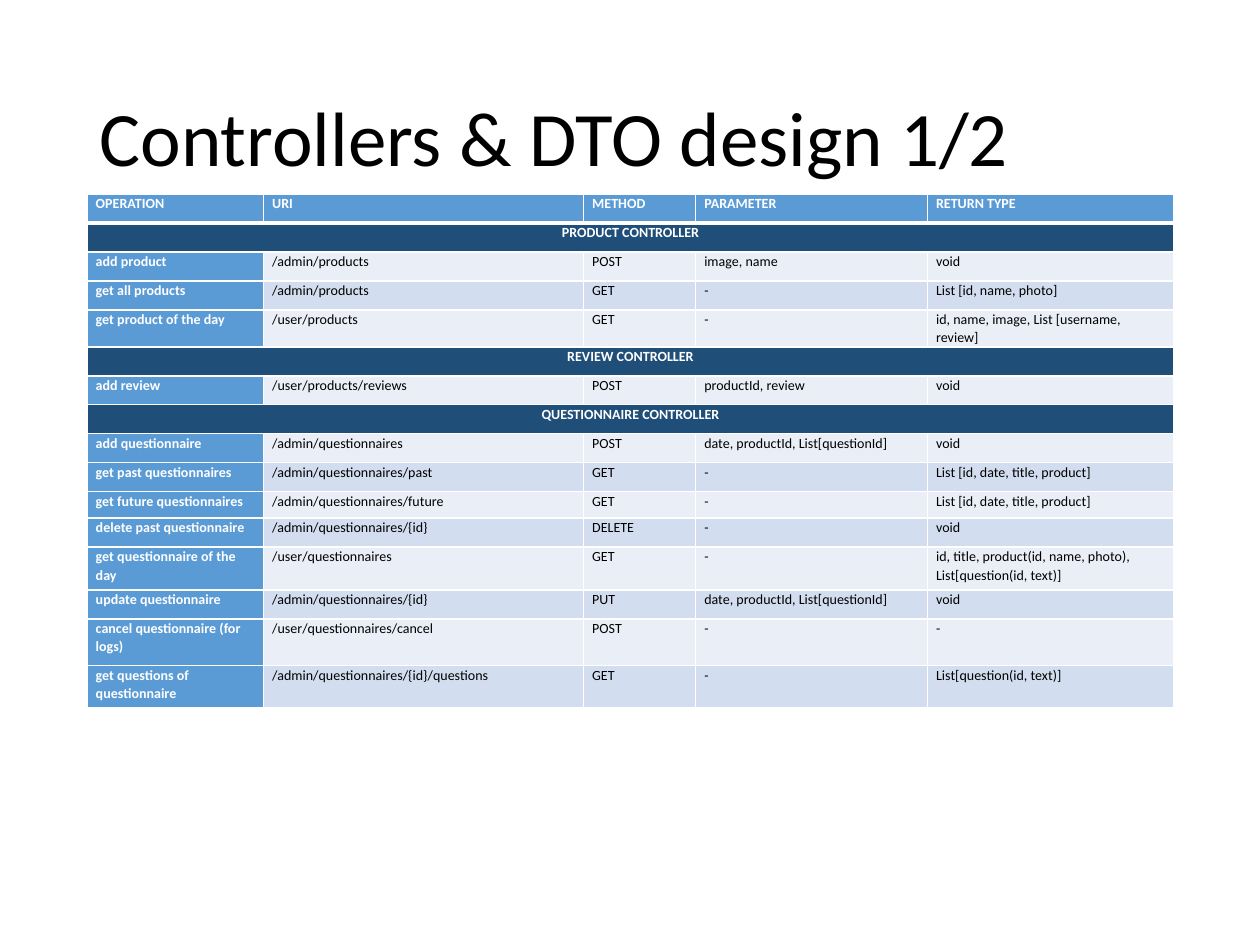
from lxml.etree import SubElement
from pptx import Presentation
from pptx.dml.color import RGBColor
from pptx.enum.text import MSO_ANCHOR, PP_ALIGN
from pptx.oxml.ns import qn
from pptx.util import Inches, Pt

TITLE = "Controllers & DTO design 1/2"
HEADINGS = ("OPERATION", "URI", "METHOD", "PARAMETER", "RETURN TYPE")
CONTROLLERS = {
    "PRODUCT CONTROLLER": [
        ("add product", "/admin/products", "POST", "image, name", "void"),
        ("get all products", "/admin/products", "GET", "-", "List [id, name, photo]"),
        ("get product of the day", "/user/products", "GET", "-",
         "id, name, image, List [username, review]"),
    ],
    "REVIEW CONTROLLER": [
        ("add review", "/user/products/reviews", "POST", "productId, review", "void"),
    ],
    "QUESTIONNAIRE CONTROLLER": [
        ("add questionnaire", "/admin/questionnaires", "POST",
         "date, productId, List[questionId]", "void"),
        ("get past questionnaires", "/admin/questionnaires/past", "GET", "-",
         "List [id, date, title, product]"),
        ("get future questionnaires", "/admin/questionnaires/future", "GET", "-",
         "List [id, date, title, product]"),
        ("delete past questionnaire", "/admin/questionnaires/{id}", "DELETE", "-", "void"),
        ("get questionnaire of the day", "/user/questionnaires", "GET", "-",
         "id, title, product(id, name, photo), List[question(id, text)]"),
        ("update questionnaire", "/admin/questionnaires/{id}", "PUT",
         "date, productId, List[questionId]", "void"),
        ("cancel questionnaire (for logs)", "/user/questionnaires/cancel", "POST", "-", "-"),
        ("get questions of questionnaire", "/admin/questionnaires/{id}/questions", "GET", "-",
         "List[question(id, text)]"),
    ],
}
COLORS = {
    "accent": "5B9BD5", "section": "1F4E79", "light": "EAEFF7",
    "dark": "D2DEEF", "white": "FFFFFF", "black": "000000",
}
FONT = "Calibri"
COLUMN_WIDTHS = (1.4, 2.54, 0.89, 1.84, 1.96)
ROW_HEIGHT = 0.23
SPECIAL_HEIGHTS = {
    "get product of the day": 0.24,
    "get future questionnaires": 0.21,
    "get questionnaire of the day": 0.34,
    "cancel questionnaire (for logs)": 0.37,
    "get questions of questionnaire": 0.34,
}


def color(name):
    return RGBColor.from_string(COLORS[name])


def format_text(paragraph, size, ink, bold=False):
    for span in paragraph.runs:
        span.font.name = FONT
        span.font.size = Pt(size)
        span.font.bold = bold
        span.font.color.rgb = color(ink)


def set_borders(cell, bottom):
    properties = cell._tc.get_or_add_tcPr()
    for position, (side, width) in enumerate(
        (("lnL", 1), ("lnR", 1), ("lnT", 1), ("lnB", bottom))
    ):
        line = SubElement(properties, qn(f"a:{side}"), w=str(Pt(width)))
        fill = SubElement(line, qn("a:solidFill"))
        SubElement(fill, qn("a:srgbClr"), val=COLORS["white"])
        properties.insert(position, line)


def fill_cell(cell, text, background, strong, bottom=1):
    cell.margin_left = cell.margin_right = Inches(0.07)
    cell.margin_top = cell.margin_bottom = 0
    cell.fill.solid()
    cell.fill.fore_color.rgb = color(background)
    set_borders(cell, bottom)
    paragraph = cell.text_frame.paragraphs[0]
    paragraph.text = text
    paragraph.line_spacing = 1.07
    paragraph.space_after = Pt(8)
    format_text(paragraph, 8, "white" if strong else "black", strong)
    return paragraph


def add_title(page):
    title = page.shapes.title
    title.left, title.top = Inches(0.69), Inches(0.4)
    title.width, title.height = Inches(8.62), Inches(1.45)
    frame = title.text_frame
    frame.text = TITLE
    frame.word_wrap = True
    frame.vertical_anchor = MSO_ANCHOR.MIDDLE
    paragraph = frame.paragraphs[0]
    paragraph.alignment = PP_ALIGN.LEFT
    paragraph.line_spacing = 0.9
    format_text(paragraph, 44, "black")


def add_operations(page):
    rows = [(HEADINGS, "accent")]
    for controller, operations in CONTROLLERS.items():
        rows.append(((controller,), "section"))
        for index, operation in enumerate(operations):
            rows.append((operation, ("light", "dark")[index % 2]))
    heights = [SPECIAL_HEIGHTS.get(texts[0], ROW_HEIGHT) for texts, _ in rows]
    table = page.shapes.add_table(
        len(rows), len(HEADINGS), Inches(0.69), Inches(1.54),
        Inches(sum(COLUMN_WIDTHS)), Inches(sum(heights)),
    ).table
    table.horz_banding = False
    for column, width in zip(table.columns, COLUMN_WIDTHS):
        column.width = Inches(width)
    for row_index, ((texts, background), height) in enumerate(zip(rows, heights)):
        row = table.rows[row_index]
        row.height = Inches(height)
        if background == "section":
            row.cells[0].merge(row.cells[len(HEADINGS) - 1])
            paragraph = fill_cell(row.cells[0], texts[0], background, True)
            paragraph.alignment = PP_ALIGN.CENTER
            continue
        heading = row_index == 0
        for column_index, text in enumerate(texts):
            first = column_index == 0
            fill_cell(
                row.cells[column_index], text, "accent" if first else background,
                first or heading, 3 if heading else 1,
            )


def main():
    deck = Presentation()
    deck.slide_width, deck.slide_height = Inches(10), Inches(7.5)
    page = deck.slides.add_slide(deck.slide_layouts[5])
    add_title(page)
    add_operations(page)
    deck.save("out.pptx")


if __name__ == "__main__":
    main()
